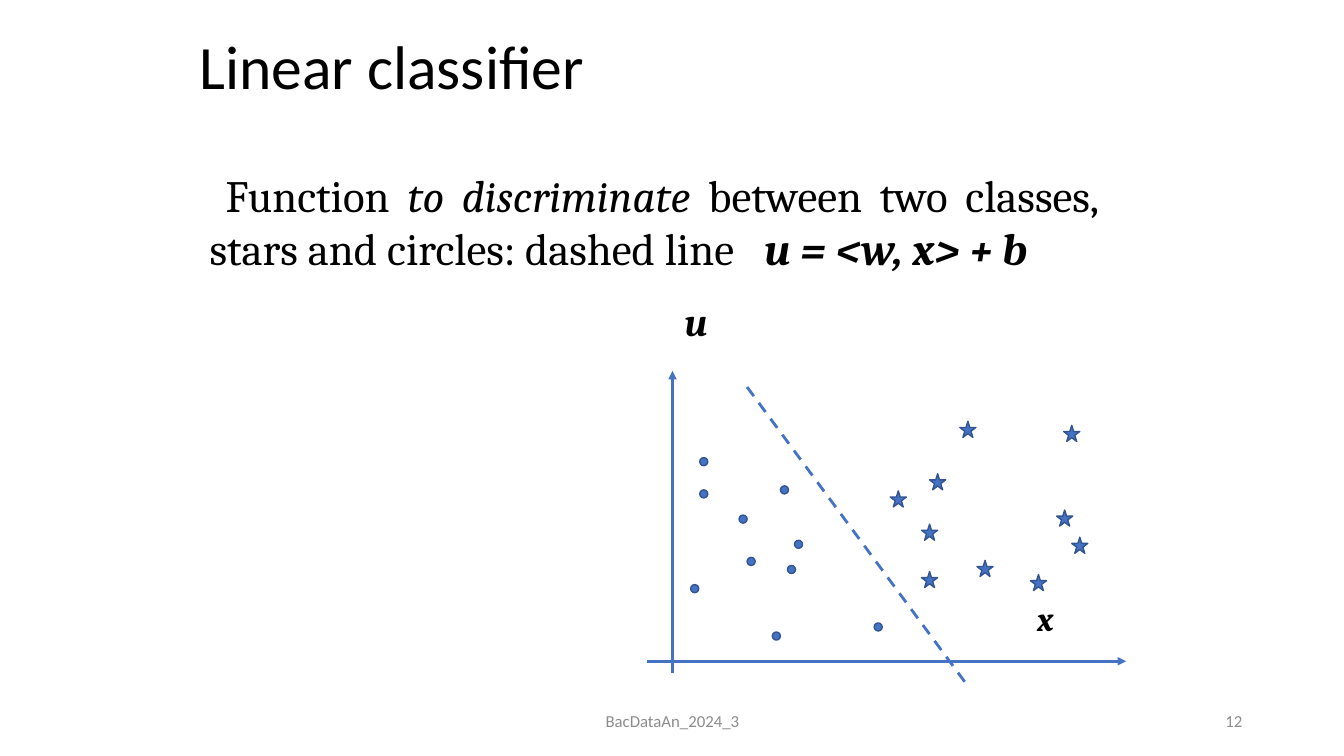
import pptx
import pptx.util
import pptx.dml.color
import pptx.enum.dml
import pptx.enum.shapes
import pptx.enum.text
import pptx.oxml.ns
import lxml.etree

PX = 9144
ALIGN = pptx.enum.text.PP_ALIGN
ANCHOR = pptx.enum.text.MSO_ANCHOR
SHAPE = pptx.enum.shapes.MSO_SHAPE
qn = pptx.oxml.ns.qn


def color(hex_string):
    return pptx.dml.color.RGBColor.from_string(hex_string)


def add_text(s, box, runs, font, paragraph, anchor):
    tf = s.shapes.add_textbox(*(v * PX for v in box)).text_frame
    tf.word_wrap = True
    tf.vertical_anchor = anchor
    p = tf.paragraphs[0]
    for name, value in paragraph.items():
        setattr(p, name, value)
    family, size, hex_string = font
    for text, extra in runs:
        r = p.add_run()
        r.text = text
        r.font.color.rgb = color(hex_string)
        fmt = {"name": family, "size": pptx.util.Pt(size), **extra}
        for name, value in fmt.items():
            setattr(r.font, name, value)
    return p


prs = pptx.Presentation()
prs.slide_width = 1333 * PX
prs.slide_height = 750 * PX
s = prs.slides.add_slide(prs.slide_layouts[6])

bold_italic = {"bold": True, "italic": True}
gray = ("Calibri", 12, "8C8C8C")

add_text(s, (188, 6, 900, 125), [("Linear classifier", {})],
         ("Calibri", 44, "000000"), {"line_spacing": 0.9}, ANCHOR.MIDDLE)

p = add_text(s, (198, 161, 901, 559), [
    ("Function ", {}),
    ("to discriminate ", {"italic": True}),
    ("between two classes, stars and circles: dashed line\t", {}),
    ("u = <w, x> + b", bold_italic),
], ("Cambria", 32, "000000"), {"alignment": ALIGN.JUSTIFY}, ANCHOR.TOP)
pPr = p._p.get_or_add_pPr()
pPr.set("marL", "0")
pPr.set("indent", str(16 * PX))
tabs = lxml.etree.SubElement(pPr, qn("a:tabLst"))
lxml.etree.SubElement(tabs, qn("a:tab"), pos=str(551 * PX), algn="l")

add_text(s, (442, 695, 450, 40), [("BacDataAn_2024_3", {})],
         gray, {"alignment": ALIGN.CENTER}, ANCHOR.MIDDLE)
add_text(s, (942, 695, 300, 40), [("12", {})],
         gray, {"alignment": ALIGN.RIGHT}, ANCHOR.MIDDLE)

for x1, y1, x2, y2, dashed in [
    (642, 656, 1117, 656, False),
    (667, 668, 667, 368, False),
    (741, 384, 961, 682, True),
]:
    line = s.shapes.add_connector(
        pptx.enum.shapes.MSO_CONNECTOR.STRAIGHT,
        x1 * PX, y1 * PX, x2 * PX, y2 * PX)
    line.line.color.rgb = color("4472C4")
    line.line.width = pptx.util.Pt(2)
    if dashed:
        line.line.dash_style = pptx.enum.dml.MSO_LINE.DASH
    else:
        lxml.etree.SubElement(line.line._get_or_add_ln(),
                              qn("a:tailEnd"), type="triangle")
    lxml.etree.SubElement(line._element.spPr, qn("a:effectLst"))

circles = [(685, 580), (694, 454), (741, 553), (733, 511), (694, 486),
           (781, 561), (788, 536), (867, 618), (774, 482), (766, 627)]
stars = [(922, 470), (883, 487), (1048, 506), (914, 520), (914, 567),
         (969, 556), (1022, 570), (952, 418), (1063, 533), (1055, 422)]
for kind, size, points in [(SHAPE.OVAL, 8, circles),
                           (SHAPE.STAR_5_POINT, 16, stars)]:
    for x, y in points:
        sp = s.shapes.add_shape(kind, x * PX, y * PX, size * PX, size * PX)
        sp.shadow.inherit = False
        sp.fill.solid()
        sp.fill.fore_color.rgb = color("4472C4")
        sp.line.color.rgb = color("325491")
        sp.line.width = pptx.util.Pt(1)

for label, size, x, y in [("u", 28, 669, 293), ("x", 24, 1019, 588)]:
    add_text(s, (x, y, 50, 50), [(label, bold_italic)],
             ("Cambria", size, "000000"), {"alignment": ALIGN.LEFT},
             ANCHOR.MIDDLE)

prs.save("out.pptx")
